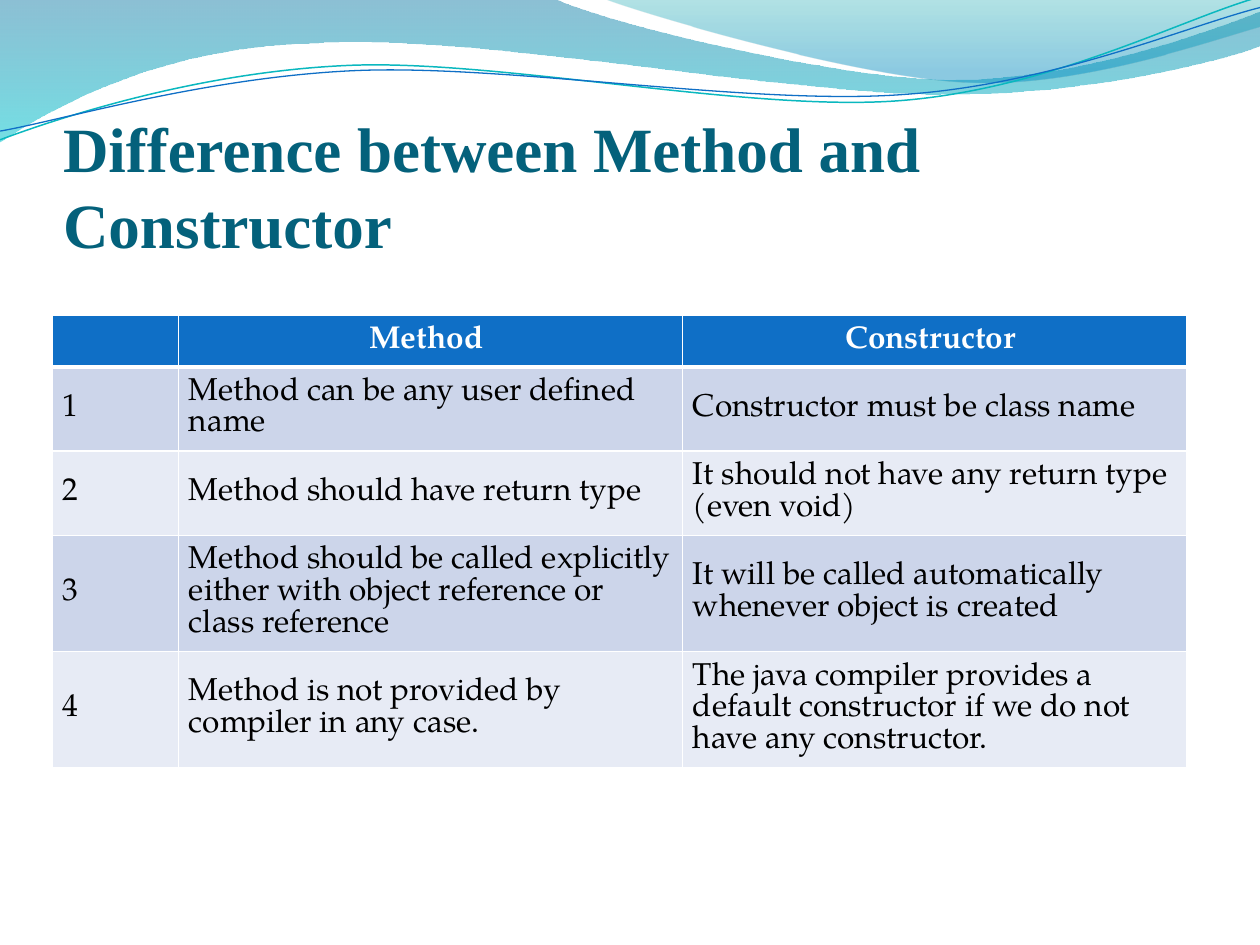
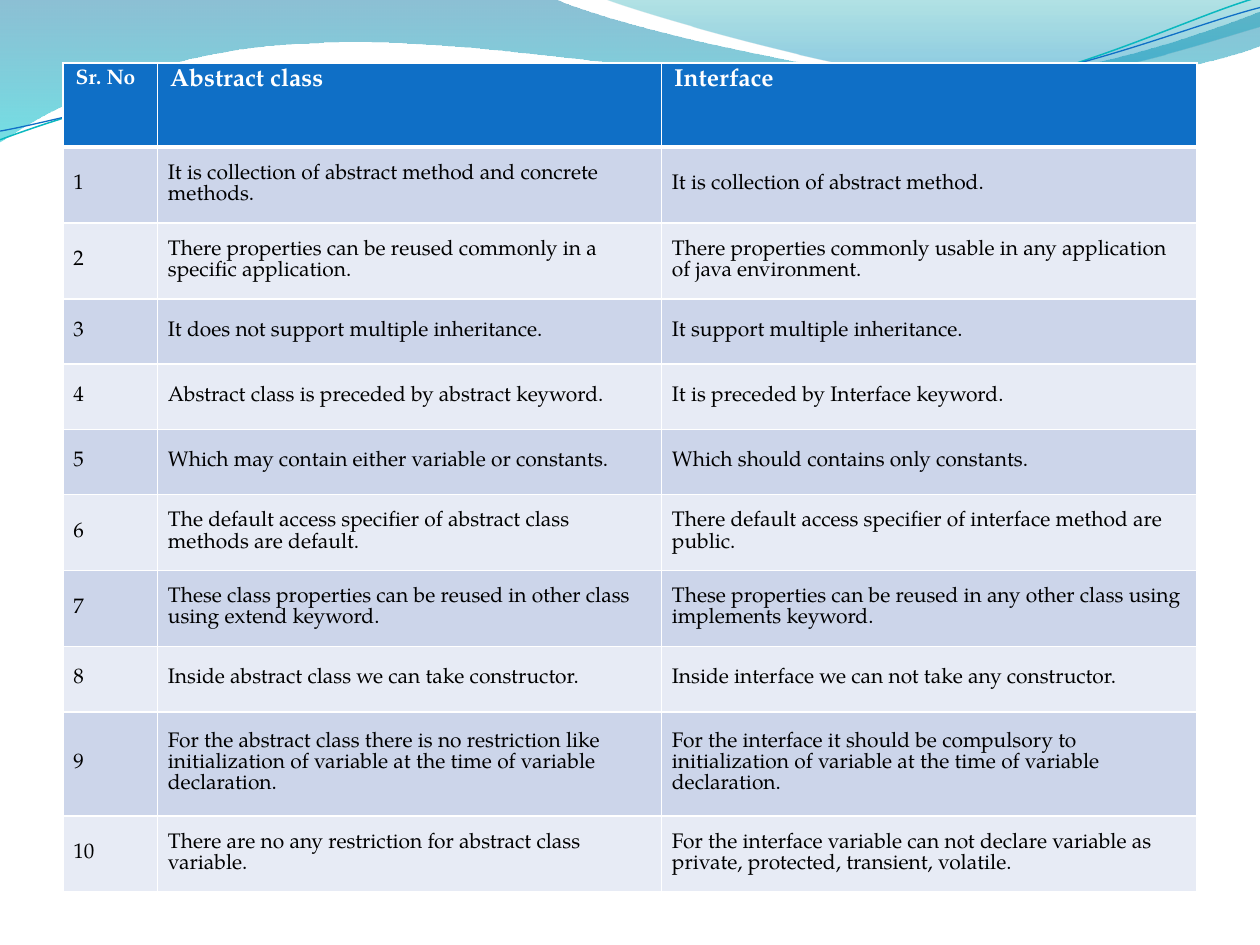
from dataclasses import dataclass

import pptx
import pptx.dml.color
import pptx.enum.text
import pptx.oxml
import pptx.oxml.ns
import pptx.util
from lxml import etree

Pt = pptx.util.Pt
ALIGN = pptx.enum.text.PP_ALIGN
ANCHOR = pptx.enum.text.MSO_ANCHOR
qn = pptx.oxml.ns.qn


@dataclass(frozen=True)
class Theme:
    """Colours, fonts and sizes shared by the slides."""
    title: str = "04617B"
    header: str = "0F6FC6"
    odd_row: str = "CCD5EA"
    even_row: str = "E7EBF5"
    text: str = "000000"
    white: str = "FFFFFF"
    teal: str = "0AB8BF"
    title_font: str = "Times New Roman"
    table_font: str = "TeX Gyre Pagella"
    title_size: float = 36
    large: float = 18
    medium: float = 14
    small: float = 12
    cell_inset: float = 6


THEME = Theme()

WIDE_WAVE = [(0, 0), (316.8, -0.7),
             (342.7, 12.2, 478.1, 45.4, 545.8, 45.4),
             (614.2, 45.4, 689.8, 18.7, 720, 6.5), (720.7, 25.9),
             (707.8, 31.7, 626.4, 54.7, 537.1, 54),
             (447.8, 54, 275, 20.2, 185, 24.5),
             (92.9, 25.9, 33.1, 59.8, -0.7, 81.4)]
RIGHT_WAVE = [(344.9, -0.7),
              (366.5, 7.9, 491, 44.6, 553.7, 46.8),
              (616.3, 49.7, 691.9, 23, 720, 15.1), (720, 0)]
TEAL_CURVE = [(0, 79.9),
              (34.6, 67, 113.8, 41, 199.4, 37.4),
              (284.4, 33.8, 427, 64.1, 513.4, 57.6),
              (599.8, 51.1, 675.4, 10.8, 718.6, -1.4)]
BLUE_CURVE = [(0, 74.9),
              (33.8, 69.1, 118.1, 43.9, 203.8, 40.3),
              (290.2, 36.7, 429.8, 60.5, 516.2, 54),
              (601.9, 48.2, 677.5, 15.1, 720, 4.3)]

METHOD_ROWS = [
    ("", "Method ", "Constructor "),
    ("1", "Method can be any user defined name", "Constructor must be class name"),
    ("2", "Method should have return type",
     "It should not have any return type (even void)"),
    ("3", "Method should be called explicitly either with object reference or class reference",
     "It will be called automatically whenever object is created"),
    ("4", "Method is not provided by compiler in any case.",
     "The java compiler provides a default constructor if we do not have any constructor."),
]
CLASS_ROWS = [
    ("Sr. No", "Abstract class", "Interface"),
    ("1", "It is collection of abstract method and concrete methods.",
     "It is collection of abstract method."),
    ("2", "There properties can be reused commonly in a specific application.",
     "There properties commonly usable in any application of java environment."),
    ("3", "It does not support multiple inheritance.", "It support multiple inheritance."),
    ("4", "Abstract class is preceded by abstract keyword.",
     "It is preceded by Interface keyword."),
    ("5", "Which may contain either variable or constants.",
     "Which should contains only constants."),
    ("6", "The default access specifier of abstract class methods are default.",
     "There default access specifier of interface method are public."),
    ("7", "These class properties can be reused in other class using extend keyword.",
     "These properties can be reused in any other class using implements keyword."),
    ("8", "Inside abstract class we can take constructor.",
     "Inside interface we can not take any constructor."),
    ("9", "For the abstract class there is no restriction like initialization of variable "
     "at the time of variable declaration.",
     "For the interface it should be compulsory to initialization of variable "
     "at the time of variable declaration."),
    ("10", "There are no any restriction for abstract class variable.",
     "For the interface variable can not declare variable as private, protected, "
     "transient, volatile."),
]


def rgb(value):
    """Return the colour for a hex value."""
    return pptx.dml.color.RGBColor.from_string(value)


def bend(outline_shape, outline):
    """Join the control and end points of each curved part into one Bézier."""
    corners = iter(outline_shape.element.xpath(".//a:path/a:lnTo"))
    for part in outline[1:]:
        segment = [next(corners) for _ in range(len(part) // 2)]
        if len(segment) == 3:
            curve = etree.Element(qn("a:cubicBezTo"))
            segment[0].addprevious(curve)
            for corner in segment:
                curve.append(corner[0])
                corner.getparent().remove(corner)


def add_outline(slide, outline, close):
    """Draw a freeform outline and return it."""
    start, *rest = [(Pt(x), Pt(y)) for part in outline
                    for x, y in zip(part[::2], part[1::2])]
    builder = slide.shapes.build_freeform(*start, scale=1.0)
    builder.add_line_segments(rest, close=close)
    outline_shape = builder.convert_to_shape()
    outline_shape.shadow.inherit = False
    bend(outline_shape, outline)
    return outline_shape


def add_wave(slide, outline, stops):
    """Draw a wave with a see-through vertical gradient."""
    wave = add_outline(slide, outline, True)
    wave.line.fill.background()
    wave.fill.gradient()
    wave.fill.gradient_angle = 270
    for stop, (position, color, _) in zip(wave.fill.gradient_stops, stops):
        stop.position = position
        stop.color.rgb = rgb(color)
    tints = wave.element.xpath(".//a:gs/a:srgbClr")
    for tint, (_, _, opacity) in zip(tints, stops):
        etree.SubElement(tint, qn("a:alpha"), val=str(opacity * 1000))
    return wave


def add_curve(slide, outline, color, width):
    """Draw an open curved line."""
    curve = add_outline(slide, outline, False)
    curve.fill.background()
    curve.line.color.rgb = rgb(color)
    curve.line.width = Pt(width)
    return curve


def decorate_master(master, slide):
    """Put the waves and curves of the header on the master."""
    header = [
        add_wave(slide, WIDE_WAVE, [(0, "0074A1", 45), (1, "00C6CF", 55)]),
        add_wave(slide, RIGHT_WAVE, [(0, "00A1A9", 30), (0.8, "008BBF", 45)]),
        add_curve(slide, TEAL_CURVE, THEME.teal, 0.85),
        add_curve(slide, BLUE_CURVE, THEME.header, 0.75),
    ]
    for number, part in enumerate(header, 101):
        part.element.xpath(".//p:cNvPr")[0].set("id", str(number))
        master.shapes.element.append(part.element)


def add_run(paragraph, text, font, size, color, bold):
    """Add one formatted run."""
    run = paragraph.add_run()
    run.text = text
    run.font.name = font
    run.font.size = Pt(size)
    run.font.color.rgb = rgb(color)
    run.font.bold = bold


def set_title(slide, text, left, top, width, height):
    """Place and fill the title."""
    title = slide.shapes.title
    title.left, title.top, title.width, title.height = map(Pt, (left, top, width, height))
    frame = title.text_frame
    frame.auto_size = pptx.enum.text.MSO_AUTO_SIZE.NONE
    frame.word_wrap = True
    frame.vertical_anchor = ANCHOR.BOTTOM
    frame.margin_left = frame.margin_right = frame.margin_bottom = 0
    frame.paragraphs[0].alignment = ALIGN.LEFT
    add_run(frame.paragraphs[0], text, THEME.title_font, THEME.title_size, THEME.title, True)


def set_borders(cell, top, bottom):
    """Give a cell white borders."""
    properties = cell._tc.get_or_add_tcPr()
    for index, (side, width) in enumerate(zip("LRTB", (1, 1, top, bottom))):
        line = etree.Element(qn(f"a:ln{side}"), w=str(Pt(width)))
        fill = etree.SubElement(line, qn("a:solidFill"))
        etree.SubElement(fill, qn("a:srgbClr"), val=THEME.white)
        properties.insert(index, line)


def set_insets(cell):
    """Centre a cell's text vertically with equal insets."""
    cell.vertical_anchor = ANCHOR.MIDDLE
    inset = Pt(THEME.cell_inset)
    cell.margin_left = cell.margin_right = cell.margin_top = cell.margin_bottom = inset


def add_comparison(slide, rows, left, top, widths, heights, size, header_sizes,
                   header_centred):
    """Add a banded comparison table."""
    table = slide.shapes.add_table(len(rows), len(widths), Pt(left), Pt(top),
                                   Pt(sum(widths)), Pt(sum(heights))).table
    for column, width in zip(table.columns, widths):
        column.width = Pt(width)
    for table_row, height in zip(table.rows, heights):
        table_row.height = Pt(height)
    for row, texts in enumerate(rows):
        is_header = row == 0
        band = THEME.header if is_header else THEME.odd_row if row % 2 else THEME.even_row
        for column, text in enumerate(texts):
            cell = table.cell(row, column)
            cell.fill.solid()
            cell.fill.fore_color.rgb = rgb(band)
            set_borders(cell, 3 if row == 1 else 1, 3 if is_header else 1)
            if not text:
                continue
            if header_centred or not is_header:
                set_insets(cell)
            paragraph = cell.text_frame.paragraphs[0]
            paragraph.alignment = ALIGN.CENTER if is_header and header_centred else ALIGN.LEFT
            add_run(paragraph, text, THEME.table_font,
                    header_sizes[column] if is_header else size,
                    THEME.white if is_header else THEME.text, is_header)


def main():
    """Build the two slides."""
    deck = pptx.Presentation()
    deck.slide_width, deck.slide_height = Pt(720), Pt(540)

    methods = deck.slides.add_slide(deck.slide_layouts[5])
    decorate_master(deck.slide_master, methods)
    set_title(methods, "Difference between Method and Constructor", 36, 59, 648, 90)
    add_comparison(methods, METHOD_ROWS, 30, 180, (72, 288, 288), [29.5] * 5,
                   THEME.large, [THEME.large] * 3, True)

    classes = deck.slides.add_slide(deck.slide_layouts[6])
    one_line, two_lines, three_lines = 37.33, 43.4, 59.5
    heights = [48, two_lines, two_lines, one_line, one_line, one_line,
               two_lines, two_lines, one_line, three_lines, two_lines]
    add_comparison(classes, CLASS_ROWS, 36, 36, (54, 288, 306), heights,
                   THEME.small, (THEME.small, THEME.medium, THEME.medium), False)
    deck.save("out.pptx")


if __name__ == "__main__":
    main()
